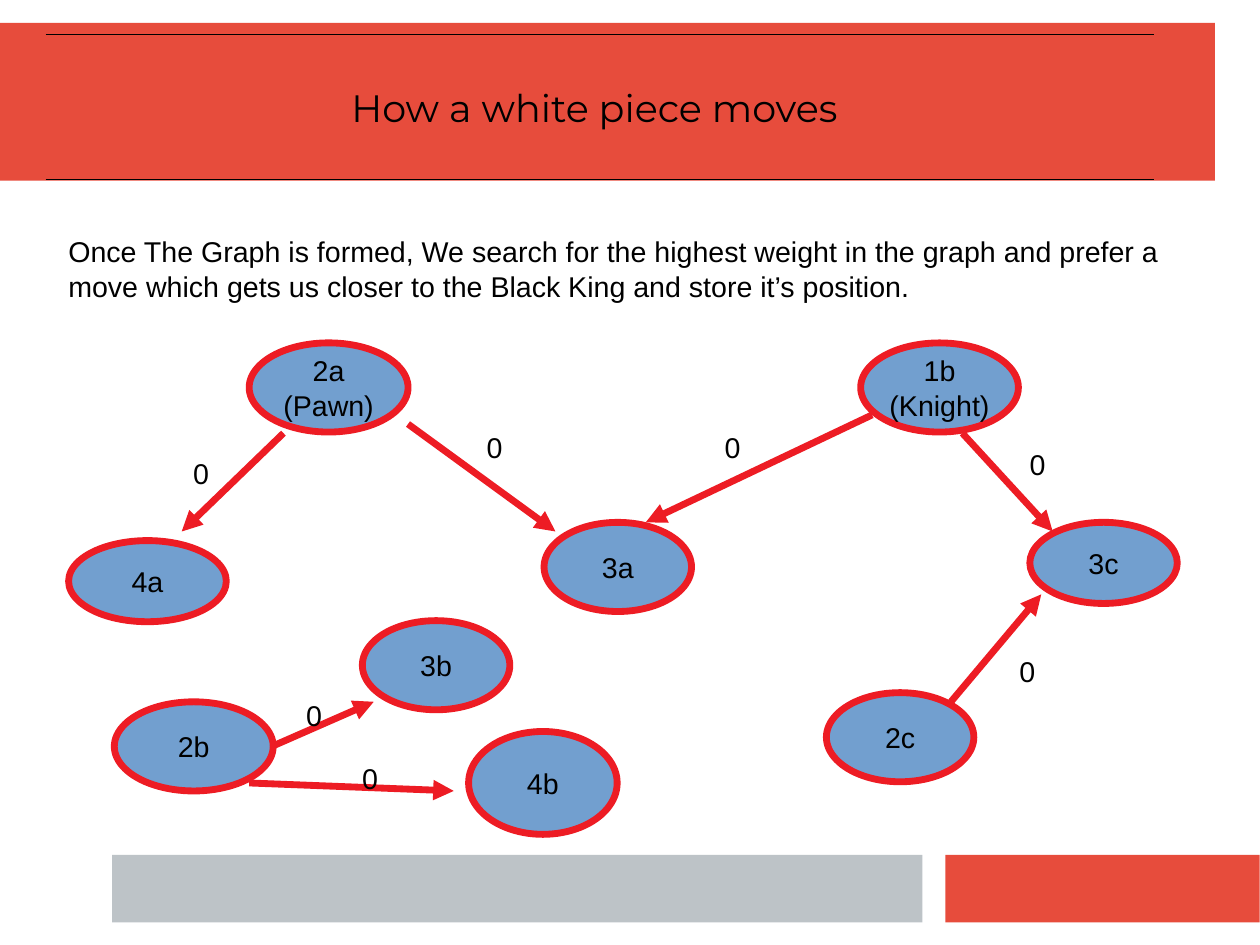
"""Build the slide that shows how a white piece moves as a weighted graph."""
from lxml import etree
from pptx import Presentation
from pptx.dml.color import RGBColor
from pptx.enum.shapes import MSO_CONNECTOR, MSO_SHAPE
from pptx.enum.text import MSO_ANCHOR, PP_ALIGN
from pptx.oxml.ns import qn
from pptx.util import Inches, Pt

COLORS = {"banner": "E74C3C", "footer": "BDC3C7", "node": "729FCF", "edge": "ED1C24", "text": "000000"}
EDGE_WIDTH = Pt(4.31)
CM_PER_INCH = 2.54


def write(shape, text, align=PP_ALIGN.LEFT, size=18, font="Arial"):
    frame = shape.text_frame
    frame.text = text
    for paragraph in frame.paragraphs:
        paragraph.alignment = align
        paragraph.font.size = Pt(size)
        paragraph.font.name = font
        paragraph.font.color.rgb = RGBColor.from_string(COLORS["text"])
    return frame


def connect(x1, y1, x2, y2, color, width):
    line = slide.shapes.add_connector(
        MSO_CONNECTOR.STRAIGHT, Inches(x1), Inches(y1), Inches(x2), Inches(y2))
    line.line.color.rgb = RGBColor.from_string(COLORS[color])
    line.line.width = width
    etree.SubElement(line.element.spPr, qn("a:effectLst"))
    return line


prs = Presentation()
prs.slide_width = Inches(28 / CM_PER_INCH)
prs.slide_height = Inches(21 / CM_PER_INCH)
slide = prs.slides.add_slide(prs.slide_layouts[5])

title = slide.shapes.title
title.left, title.top, title.width, title.height = map(Inches, (0.4, 0.3, 9.6, 1.27))
write(title, "How a white piece moves", PP_ALIGN.CENTER, 24, "Montserrat")
title.text_frame.vertical_anchor = MSO_ANCHOR.MIDDLE

bands = [
    (0, 0.2, 10.63, 1.38, "banner"),
    (8.27, 7.48, 2.75, 0.59, "banner"),
    (0.98, 7.48, 7.09, 0.59, "footer"),
]
for *box, color in bands:
    band = slide.shapes.add_shape(MSO_SHAPE.RECTANGLE, *map(Inches, box))
    band.shadow.inherit = False
    band.fill.solid()
    band.fill.fore_color.rgb = RGBColor.from_string(COLORS[color])
    band.line.fill.background()
    title.element.addprevious(band.element)

for y in (0.3, 1.57):
    connect(0.4, y, 10.1, y, "text", Pt(0.74))

intro = slide.shapes.add_textbox(Inches(0.5), Inches(2), Inches(9.9), Inches(0.7))
write(intro, "Once The Graph is formed, We search for the highest weight in the graph and prefer a "
             "move which gets us closer to the Black King and store it’s position.").word_wrap = True

nodes = [
    ("2a\n(Pawn)", 2.18, 3, 1.39, 0.78),
    ("4a", 0.6, 4.73, 1.38, 0.71),
    ("3a", 4.76, 4.57, 1.29, 0.78),
    ("1b\n(Knight)", 7.53, 3, 1.38, 0.78),
    ("3c", 9.01, 4.57, 1.29, 0.71),
    ("2b", 1, 6.14, 1.39, 0.78),
    ("3b", 3.17, 5.43, 1.29, 0.78),
    ("2c", 7.23, 6.06, 1.29, 0.78),
    ("4b", 4.1, 6.4, 1.3, 0.9),
]
for name, *box in nodes:
    node = slide.shapes.add_shape(MSO_SHAPE.OVAL, *map(Inches, box))
    node.shadow.inherit = False
    node.fill.solid()
    node.fill.fore_color.rgb = RGBColor.from_string(COLORS["node"])
    node.line.color.rgb = RGBColor.from_string(COLORS["edge"])
    node.line.width = EDGE_WIDTH
    frame = write(node, name, PP_ALIGN.CENTER)
    frame.vertical_anchor = MSO_ANCHOR.MIDDLE
    frame.word_wrap = False

edges = [
    ((2.48, 3.79, 1.59, 4.65), (1.59, 3.94)),
    ((3.57, 3.71, 4.86, 4.65), (4.16, 3.71)),
    ((7.63, 3.63, 5.65, 4.57), (6.24, 3.71)),
    ((8.42, 3.79, 9.21, 4.65), (8.91, 3.86)),
    ((8.32, 6.14, 9.11, 5.2), (8.82, 5.67)),
    ((2.38, 6.53, 3.27, 6.14), (2.58, 6.06)),
    ((2.18, 6.85, 3.97, 6.92), (3.07, 6.61)),
]
for ends, (left, top) in edges:
    arrow = connect(*ends, "edge", EDGE_WIDTH)
    etree.SubElement(arrow.element.spPr.get_or_add_ln(), qn("a:tailEnd"), type="triangle")
    weight = slide.shapes.add_textbox(Inches(left), Inches(top), Inches(0.35), Inches(0.3))
    write(weight, "0").word_wrap = True

prs.save("out.pptx")
